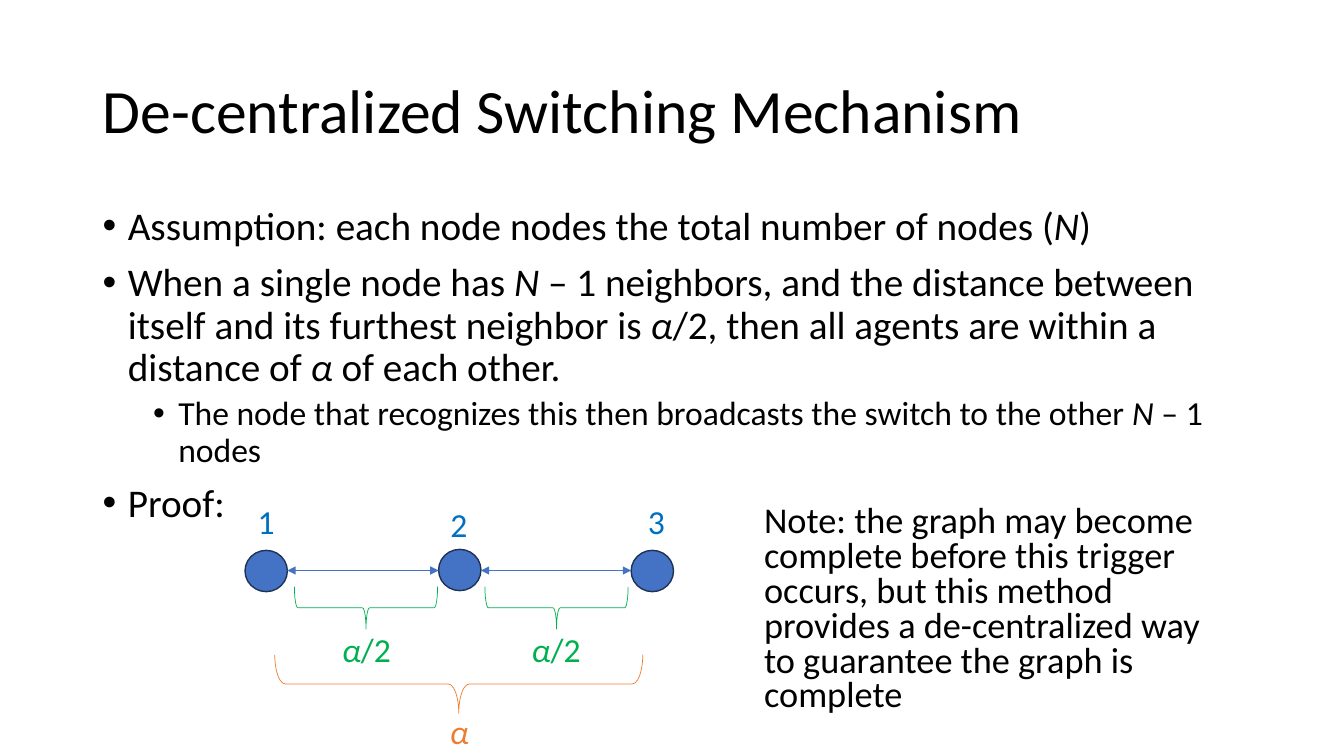
import pptx
import pptx.util
import pptx.dml.color
import pptx.enum.shapes
import pptx.enum.text
import lxml.etree

Inches = pptx.util.Inches
Pt = pptx.util.Pt
SHAPE = pptx.enum.shapes.MSO_SHAPE
ANCHOR = pptx.enum.text.MSO_ANCHOR
ALIGN = pptx.enum.text.PP_ALIGN
NS = "{http://schemas.openxmlformats.org/drawingml/2006/main}"


def color(code):
    return pptx.dml.color.RGBColor.from_string(code)


def write(box, lines, hue="000000", align=ALIGN.LEFT, space=1.0):
    frame = slide.shapes.add_textbox(*[Inches(n) for n in box]).text_frame
    frame.word_wrap = True
    for i, (text, size, level) in enumerate(lines):
        para = frame.paragraphs[0] if i == 0 else frame.add_paragraph()
        para.alignment = align
        para.line_spacing = space
        if i:
            para.space_before = Pt(5 if level == 2 else 10)
        if level:
            para.level = level - 1
            props = para._p.get_or_add_pPr()
            props.set("marL", str(Inches(0.5 * level - 0.25)))
            props.set("indent", str(Inches(-0.25)))
            face = lxml.etree.SubElement(props, NS + "buFont")
            face.set("typeface", "Arial")
            lxml.etree.SubElement(props, NS + "buChar").set("char", "•")
        for j, part in enumerate(text.split("*")):
            if part:
                run = para.add_run()
                run.text = part
                run.font.name = "Calibri"
                run.font.size = Pt(size)
                run.font.italic = j % 2 == 1
                run.font.color.rgb = color(hue)
    return frame


deck = pptx.Presentation()
deck.slide_width = Inches(13.33)
deck.slide_height = Inches(7.5)
slide = deck.slides.add_slide(deck.slide_layouts[6])

title = write((0.92, 0.4, 11.5, 1.45),
              [("De-centralized Switching Mechanism", 44, 0)], space=0.9)
title.vertical_anchor = ANCHOR.MIDDLE

write((0.92, 2, 11.5, 4.76), [
    ("Assumption: each node nodes the total number of nodes (*N*)", 28, 1),
    ("When a single node has *N* – 1 neighbors, and the distance between itself "
     "and its furthest neighbor is *α*/2, then all agents are within a distance "
     "of *α *of each other.", 28, 1),
    ("The node that recognizes this then broadcasts the switch to the other "
     "*N* – 1 nodes", 24, 2),
    ("Proof:", 28, 1),
], space=0.9)

nodes = [("1", 2.43, 5.46, 2.43, 4.92),
         ("2", 4.35, 5.45, 4.34, 4.95),
         ("3", 6.26, 5.46, 6.3, 4.92)]
for name, left, top, tag_x, tag_y in nodes:
    node = slide.shapes.add_shape(SHAPE.OVAL, Inches(left), Inches(top),
                                  Inches(0.42), Inches(0.41))
    node.shadow.inherit = False
    node.fill.solid()
    node.fill.fore_color.rgb = color("4472C4")
    node.line.color.rgb = color("1E3256")
    node.line.width = Pt(1)
    write((tag_x, tag_y, 0.42, 0.5), [(name, 24, 0)], "0070C0", ALIGN.CENTER)

for start, end in [(2.85, 4.35), (4.77, 6.26)]:
    link = slide.shapes.add_connector(pptx.enum.shapes.MSO_CONNECTOR.STRAIGHT,
                                      Inches(start), Inches(5.66),
                                      Inches(end), Inches(5.66))
    link.line.color.rgb = color("4472C4")
    link.line.width = Pt(0.5)
    for tip in ("headEnd", "tailEnd"):
        edge = lxml.etree.SubElement(link.line._get_or_add_ln(), NS + tip)
        edge.set("type", "triangle")
    lxml.etree.SubElement(link._element.spPr, NS + "effectLst")

braces = [((3.42, 5.32, 0.42, 1.42), 0.083, "00B050", "*α*/2", 3.11, 6.19),
          ((5.31, 5.32, 0.42, 1.42), 0.083, "00B050", "*α*/2", 4.99, 6.19),
          ((4.26, 4.96, 0.58, 3.65), 0.18, "ED7D31", "*α*", 4.03, 7)]
for box, curve, hue, text, left, top in braces:
    brace = slide.shapes.add_shape(SHAPE.LEFT_BRACE, *[Inches(n) for n in box])
    brace.rotation = 270
    brace.adjustments[0] = curve
    brace.shadow.inherit = False
    brace.fill.background()
    brace.line.color.rgb = color(hue)
    brace.line.width = Pt(0.5)
    write((left, top, 1.05, 0.5), [(text, 24, 0)], hue, ALIGN.CENTER)

write((7.48, 4.97, 4.68, 2.24), [
    ("Note: the graph may become complete before this trigger occurs, but this "
     "method provides a de-centralized way to guarantee the graph is complete",
     25.9, 0),
], space=0.8)

deck.save("out.pptx")
